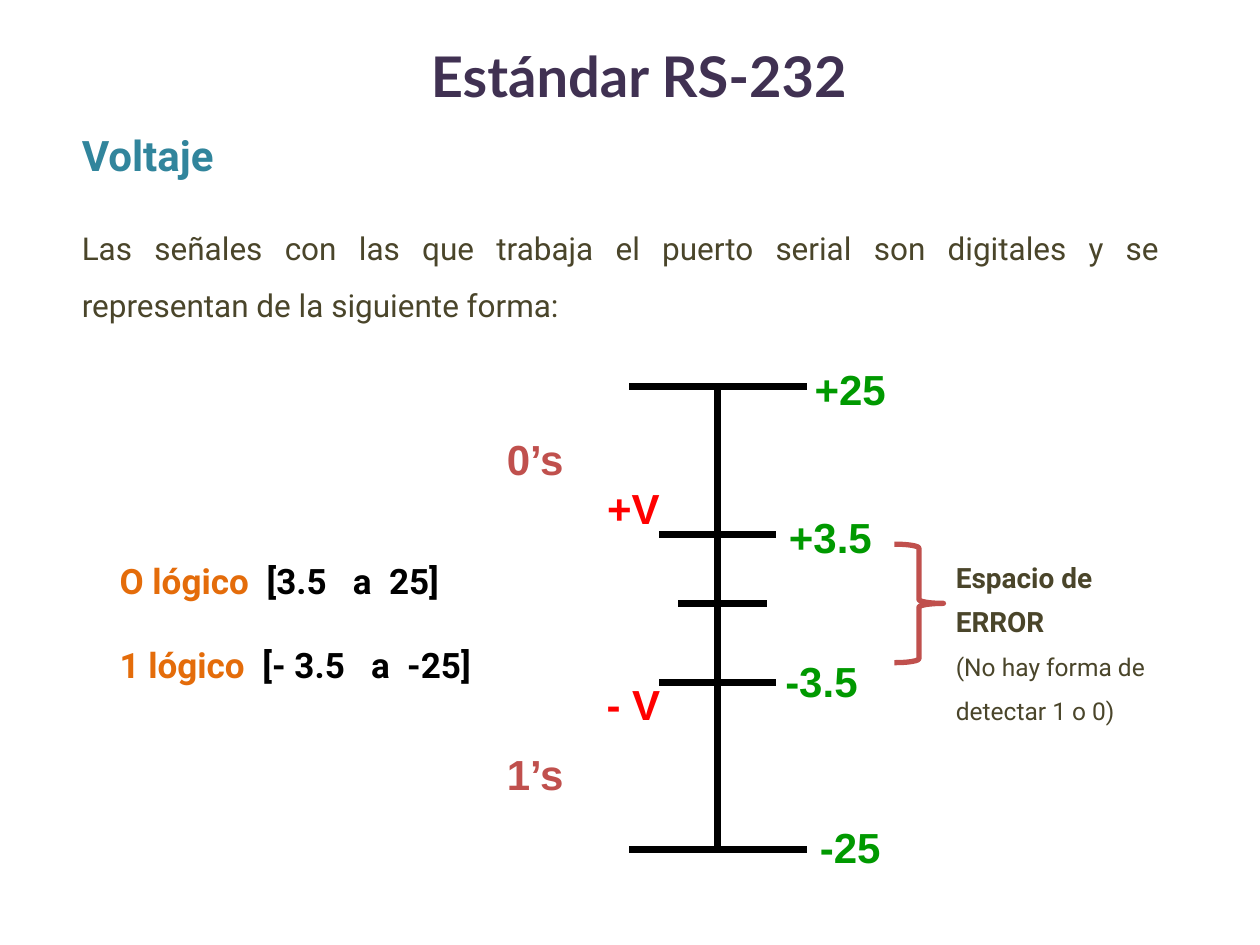
from lxml.etree import SubElement
from pptx import Presentation
from pptx.dml.color import RGBColor
from pptx.enum.shapes import MSO_CONNECTOR, MSO_SHAPE
from pptx.enum.text import MSO_ANCHOR, MSO_AUTO_SIZE, PP_ALIGN
from pptx.oxml.ns import qn
from pptx.util import Cm, Pt

COLORS = {
    "title": "403152",
    "heading": "31859C",
    "body": "4A452A",
    "axis": "000000",
    "sign": "FF0000",
    "bit": "C0504D",
    "level": "009900",
    "logic": "E46C0A",
}
AXIS_X = 14.47
TOP, BOTTOM = 7.8, 17.12
TICKS = [
    (AXIS_X, TOP, 3.58),
    (AXIS_X, 10.78, 2.36),
    (14.57, 12.17, 1.8),
    (AXIS_X, 13.75, 2.36),
    (AXIS_X, BOTTOM, 3.58),
]
LABELS = [
    ("+V", 11.68, 9.6, "sign"),
    ("- V", 11.68, 13.56, "sign"),
    ("0’s", 9.7, 8.61, "bit"),
    ("1’s", 9.7, 14.96, "bit"),
    ("+3.5", 15.65, 10.19, "level"),
    ("-3.5", 15.47, 13.08, "level"),
    ("+25", 16.05, 7.21, "level"),
    ("-25", 16.05, 16.43, "level"),
]


def color(name):
    return RGBColor.from_string(COLORS[name])


def format_paragraph(paragraph, font_name, size, bold=False, alignment=None, spacing=None):
    paragraph.font.name = font_name
    paragraph.font.size = Pt(size)
    paragraph.font.bold = bold
    paragraph.alignment = alignment
    paragraph.line_spacing = spacing


def add_runs(paragraph, runs):
    for text, color_name in runs:
        run = paragraph.add_run()
        run.text = text
        run.font.color.rgb = color(color_name)


def set_title(slide, text):
    title = slide.shapes.title
    title.left, title.top, title.width, title.height = Cm(0.3), Cm(-0.08), Cm(24.89), Cm(3.18)
    frame = title.text_frame
    frame.auto_size = MSO_AUTO_SIZE.NONE
    frame.vertical_anchor = MSO_ANCHOR.MIDDLE
    paragraph = frame.paragraphs[0]
    format_paragraph(paragraph, "Lato", 32, True, PP_ALIGN.CENTER)
    add_runs(paragraph, [(text, "title")])


def add_text(slide, left, top, width, height, paragraphs, wrap=True):
    box = slide.shapes.add_textbox(Cm(left), Cm(top), Cm(width), Cm(height))
    frame = box.text_frame
    frame.word_wrap = wrap
    for index, (runs, style) in enumerate(paragraphs):
        paragraph = frame.add_paragraph() if index else frame.paragraphs[0]
        format_paragraph(paragraph, **style)
        add_runs(paragraph, runs)


def add_line(slide, x1, y1, x2, y2):
    line = slide.shapes.add_connector(MSO_CONNECTOR.STRAIGHT, Cm(x1), Cm(y1), Cm(x2), Cm(y2))
    line.line.color.rgb = color("axis")
    line.line.width = Pt(4)
    SubElement(line._element.spPr, qn("a:effectLst"))


def add_voltage_scale(slide):
    add_line(slide, AXIS_X, TOP, AXIS_X, BOTTOM)
    for center, y, length in TICKS:
        add_line(slide, center - length / 2, y, center + length / 2, y)
    style = dict(font_name="Arial", size=24, bold=True, alignment=PP_ALIGN.CENTER)
    for text, left, top, color_name in LABELS:
        add_text(slide, left, top, 2.18, 1.3, [([(text, color_name)], style)], wrap=False)


def add_error_brace(slide):
    brace = slide.shapes.add_shape(MSO_SHAPE.RIGHT_BRACE, Cm(18.03), Cm(10.97), Cm(0.99), Cm(2.39))
    brace.adjustments[0] = 0.08
    brace.adjustments[1] = 0.5
    brace.shadow.inherit = False
    brace.fill.background()
    brace.line.color.rgb = color("bit")
    brace.line.width = Pt(3)


def main():
    presentation = Presentation()
    presentation.slide_width, presentation.slide_height = Cm(25.4), Cm(19.05)
    slide = presentation.slides.add_slide(presentation.slide_layouts[5])
    set_title(slide, " Estándar RS-232")

    justified = dict(font_name="Roboto", alignment=PP_ALIGN.JUSTIFY)
    heading = dict(justified, size=24, bold=True, spacing=1.5)
    introduction = dict(justified, size=18, spacing=1.5)
    logic = dict(justified, size=20, bold=True, spacing=2.0)
    error = dict(font_name="Roboto", size=16, bold=True, spacing=Pt(25))
    note = dict(error, size=14, bold=False)

    add_text(slide, 1.4, 1.98, 5.36, 1.8, [([("Voltaje", "heading")], heading)])
    add_text(slide, 1.4, 4.11, 22.23, 2.57, [
        ([("Las señales con las que trabaja el puerto serial son digitales y se "
           "representan de la siguiente forma:", "body")], introduction),
    ])
    add_voltage_scale(slide)
    add_error_brace(slide)
    add_text(slide, 19.02, 10.97, 4.75, 3.81, [
        ([("Espacio de ERROR", "body")], error),
        ([("(No hay forma de detectar 1 o 0)", "body")], note),
    ])
    add_text(slide, 2.16, 10.31, 9.12, 3.68, [
        ([("O lógico  ", "logic"), ("[3.5   a  25]", "axis")], logic),
        ([("1 lógico  ", "logic"), ("[- 3.5   a  -25]", "axis")], logic),
    ])
    presentation.save("out.pptx")


if __name__ == "__main__":
    main()
